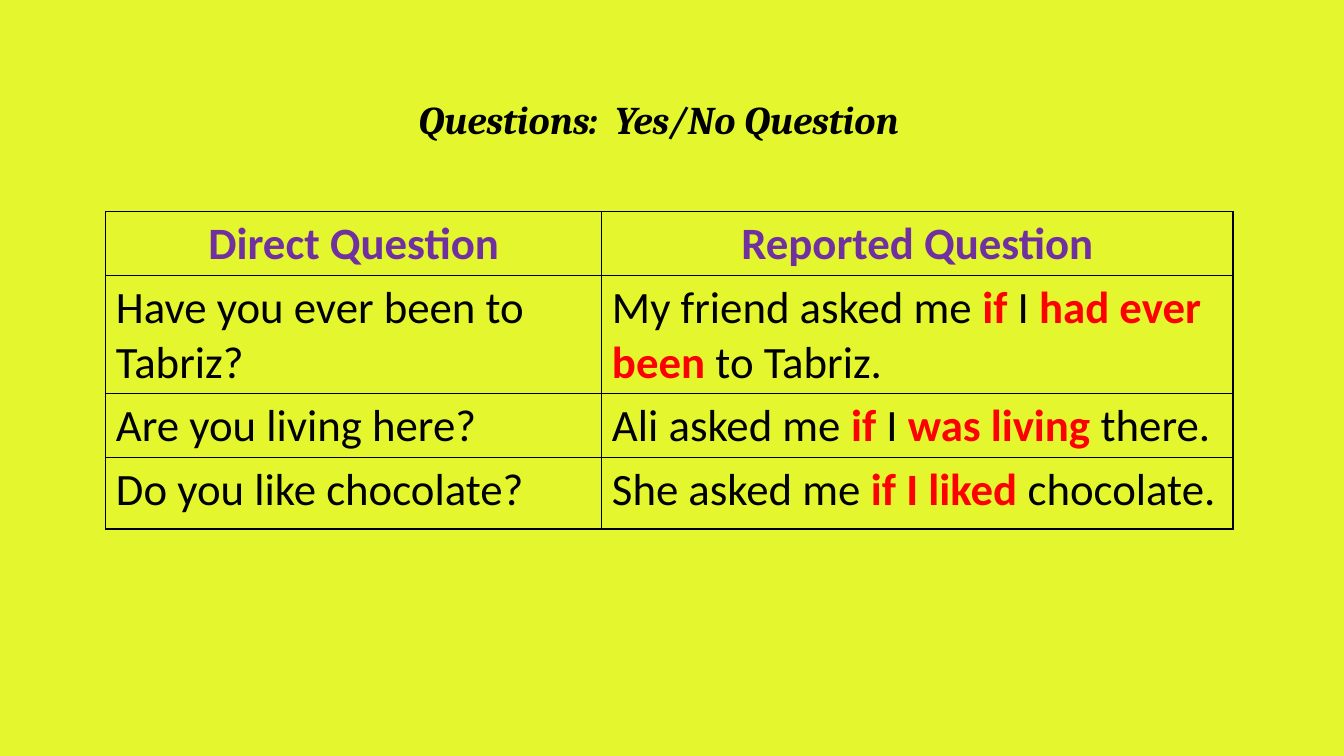
from dataclasses import dataclass

from lxml import etree
from pptx import Presentation
from pptx.dml.color import RGBColor
from pptx.enum.text import MSO_ANCHOR, PP_ALIGN
from pptx.oxml.ns import qn
from pptx.util import Inches, Pt

CENTER, LEFT = PP_ALIGN.CENTER, PP_ALIGN.LEFT
TOP = MSO_ANCHOR.TOP
WIDTH, HEIGHT = Inches(13.33), Inches(7.5)
COLORS = {"page": "E3F62E", "ink": "000000", "header": "7030A0", "change": "FF0000"}
EDGES = ("a:lnL", "a:lnR", "a:lnT", "a:lnB")


@dataclass(frozen=True)
class Style:
    """Look of a span of text."""
    color: str
    name: str = "Calibri"
    size: int = 32
    bold: bool = False
    italic: bool = False


@dataclass(frozen=True)
class Span:
    """Words that share one style."""
    text: str
    style: Style


@dataclass(frozen=True)
class Example:
    """A direct question and its reported form."""
    direct: Span
    reported: tuple[Span, ...]


TITLE = Style("ink", name="Cambria", size=28, bold=True, italic=True)
HEADER = Style("header", bold=True)
PLAIN = Style("ink")
CHANGE = Style("change", bold=True)


def plain(text: str) -> Span:
    """Return words that stay unchanged."""
    return Span(text, PLAIN)


def change(text: str) -> Span:
    """Return words that the reported form changes."""
    return Span(text, CHANGE)


HEADINGS = (Span("Direct Question", HEADER), Span("Reported Question", HEADER))
EXAMPLES = (
    Example(plain("Have you ever been to Tabriz?"),
            (plain("My friend asked me "), change("if "), plain("I "),
             change("had ever been"), plain(" to Tabriz."))),
    Example(plain("Are you living here?"),
            (plain("Ali asked me "), change("if"), plain(" I "),
             change("was living "), plain("there."))),
    Example(plain("Do you like chocolate?"),
            (plain("She asked me "), change("if I liked "), plain("chocolate."))),
)
TITLE_AREA = (0.24, 0.11, 0.5, 0.08)
TABLE_ORIGIN = (1.05 / 13.33, 0.28)
COLUMN_SHARES = (4.92 / 13.33, 6.26 / 13.33)
ROW_SHARES = (0.63 / 7.5, 1.17 / 7.5, 0.63 / 7.5, 0.71 / 7.5)


def place(left: float, top: float, width: float, height: float) -> tuple[int, ...]:
    """Turn shares of the slide into lengths."""
    return (int(left * WIDTH), int(top * HEIGHT), int(width * WIDTH), int(height * HEIGHT))


def write(para, spans: tuple[Span, ...], align) -> None:
    """Fill a paragraph with styled spans."""
    para.alignment = align
    for span in spans:
        run = para.add_run()
        run.text = span.text
        style = span.style
        formats = {"name": style.name, "size": Pt(style.size),
                   "bold": style.bold, "italic": style.italic}
        for attribute, value in formats.items():
            setattr(run.font, attribute, value)
        run.font.color.rgb = RGBColor.from_string(COLORS[style.color])


def outline(cell) -> None:
    """Draw a thin line on every edge of a clear cell."""
    properties = cell._tc.get_or_add_tcPr()
    for edge in EDGES:
        line = etree.SubElement(properties, qn(edge), w=str(Pt(1)))
        fill = etree.SubElement(line, qn("a:solidFill"))
        etree.SubElement(fill, qn("a:srgbClr"), val=COLORS["ink"])
    cell.fill.background()


def add_title(page) -> None:
    """Add the centred heading."""
    box = page.shapes.add_textbox(*place(*TITLE_AREA))
    box.text_frame.word_wrap = True
    para = box.text_frame.paragraphs[0]
    para.line_spacing = 1.15
    write(para, (Span("Questions:  Yes/No Question", TITLE),), CENTER)


def add_questions(page) -> None:
    """Add the table of direct and reported questions."""
    area = place(*TABLE_ORIGIN, sum(COLUMN_SHARES), sum(ROW_SHARES))
    table = page.shapes.add_table(len(ROW_SHARES), len(COLUMN_SHARES), *area).table
    for flag in ("first_row", "horz_banding"):
        setattr(table, flag, False)
    for column, share in zip(table.columns, COLUMN_SHARES):
        column.width = int(share * WIDTH)
    for row, share in zip(table.rows, ROW_SHARES):
        row.height = int(share * HEIGHT)
    contents = [tuple((heading,) for heading in HEADINGS)]
    contents += [((example.direct,), example.reported) for example in EXAMPLES]
    for index, (row, texts) in enumerate(zip(table.rows, contents)):
        for cell, spans in zip(row.cells, texts):
            outline(cell)
            cell.vertical_anchor = TOP
            write(cell.text_frame.paragraphs[0], spans, LEFT if index else CENTER)


def main() -> None:
    """Build and save the deck."""
    deck = Presentation()
    deck.slide_width, deck.slide_height = WIDTH, HEIGHT
    page = deck.slides.add_slide(deck.slide_layouts[6])
    page.background.fill.solid()
    page.background.fill.fore_color.rgb = RGBColor.from_string(COLORS["page"])
    add_title(page)
    add_questions(page)
    deck.save("out.pptx")


main()
